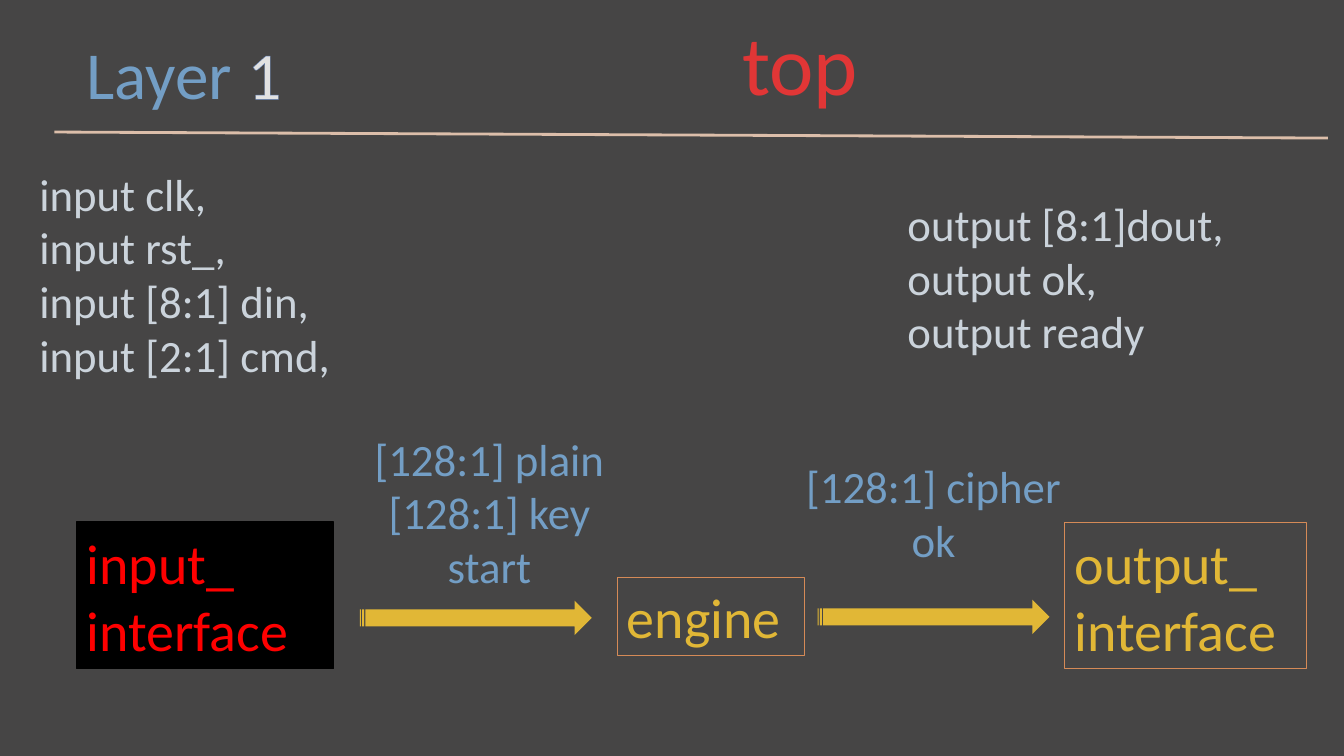
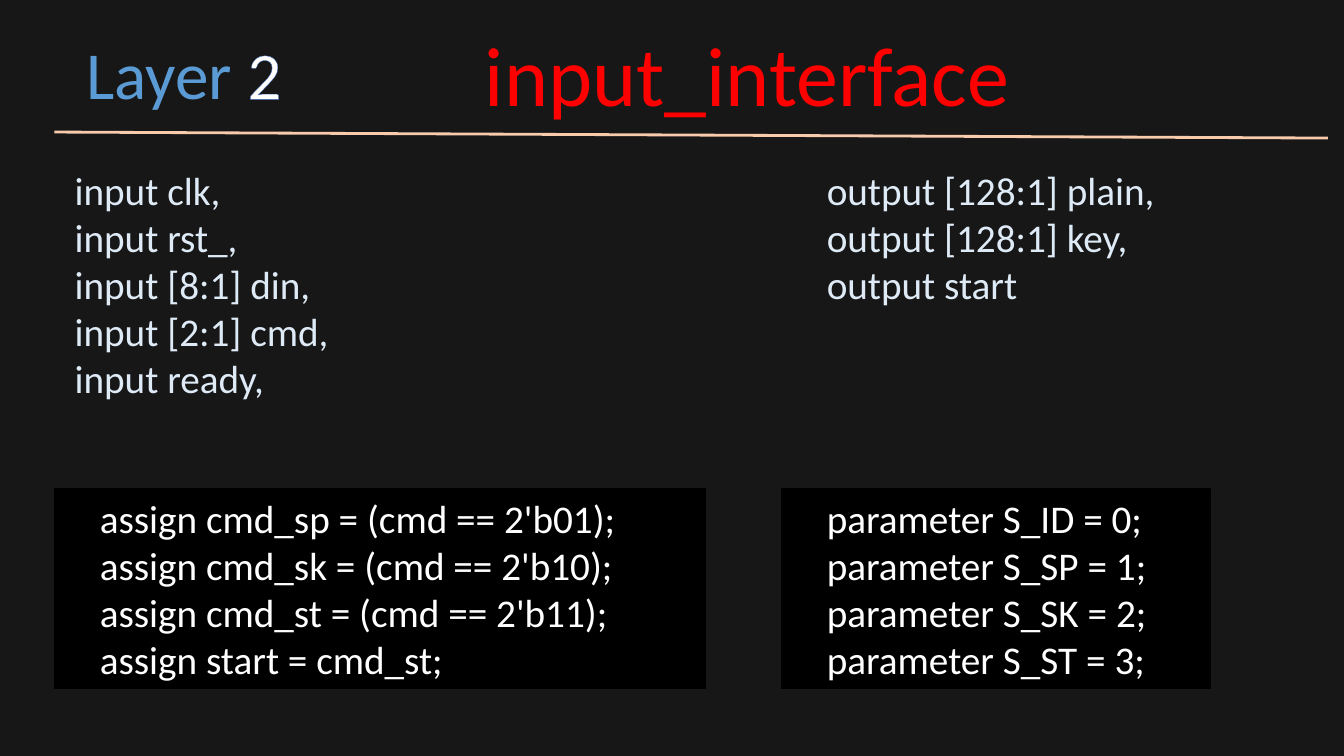
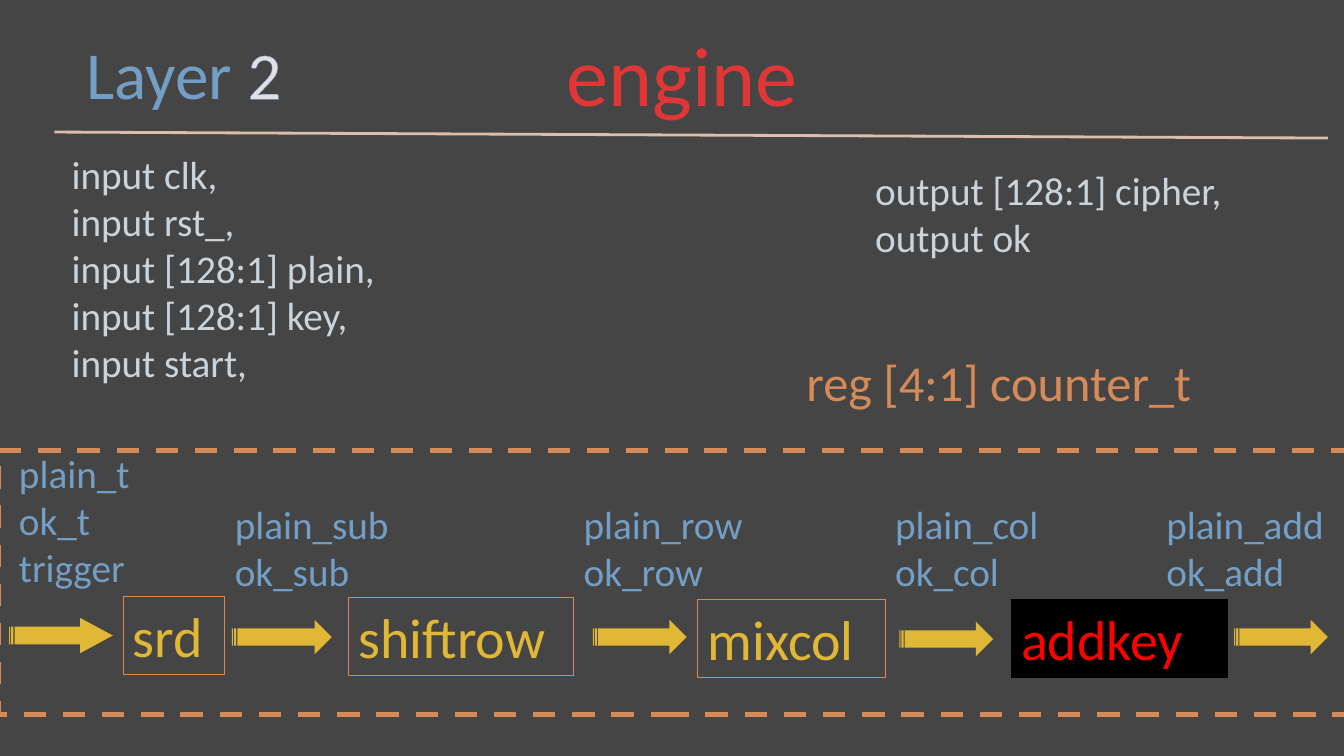
from dataclasses import dataclass

from lxml.etree import SubElement
from pptx import Presentation
from pptx.dml.color import RGBColor
from pptx.enum.dml import MSO_LINE
from pptx.enum.shapes import MSO_CONNECTOR, MSO_SHAPE
from pptx.enum.text import MSO_ANCHOR, MSO_AUTO_SIZE, PP_ALIGN
from pptx.oxml.ns import qn
from pptx.util import Inches, Pt

COLORS = {
    "background": "181717",
    "signal": "5B9BD5",
    "white": "FFFFFF",
    "digit_edge": "4472C4",
    "current": "FF0000",
    "divider": "F8CBAD",
    "port": "DEEBF7",
    "accent": "ED7D31",
    "module": "FFC000",
    "veil": "A5A5A5",
    "black": "000000",
}
FONT = "Calibri"
WIDTH, HEIGHT = 13.33, 7.5


@dataclass(frozen=True)
class Area:
    left: float
    top: float
    width: float
    height: float

    def emu(self):
        return [Inches(v) for v in (self.left, self.top, self.width, self.height)]


@dataclass(frozen=True)
class Style:
    size: int
    color: str
    align: PP_ALIGN = PP_ALIGN.LEFT


@dataclass(frozen=True)
class TextBlock:
    area: Area
    lines: tuple[str, ...]


@dataclass(frozen=True)
class Header:
    layer: str
    module: TextBlock
    inputs: TextBlock
    outputs: TextBlock
    port_size: int


TITLE = Style(60, "current")
MODULE = Style(40, "module")
CURRENT_MODULE = Style(40, "current")
CODE = Style(28, "white")


def rgb(name: str) -> RGBColor:
    return RGBColor.from_string(COLORS[name])


def write(frame, lines, style: Style, anchor=MSO_ANCHOR.TOP) -> None:
    frame.word_wrap = True
    frame.auto_size = MSO_AUTO_SIZE.NONE
    frame.vertical_anchor = anchor
    frame.text = "\n".join(lines)
    for paragraph in frame.paragraphs:
        paragraph.alignment = style.align
        paragraph.space_before = Pt(0)
        properties = paragraph._p.get_or_add_pPr()
        properties.set("marL", "0")
        properties.set("indent", "0")
        SubElement(properties, qn("a:buNone"))
        paragraph.font.name = FONT
        paragraph.font.size = Pt(style.size)
        paragraph.font.color.rgb = rgb(style.color)


def fill_placeholder(placeholder, block: TextBlock, style: Style) -> None:
    placeholder.left, placeholder.top, placeholder.width, placeholder.height = block.area.emu()
    write(placeholder.text_frame, block.lines, style)


def add_text(slide, block: TextBlock, style: Style):
    box = slide.shapes.add_textbox(*block.area.emu())
    write(box.text_frame, block.lines, style)
    return box


def add_box(slide, area: Area, fill=None, line=None, weight=1.0, kind=MSO_SHAPE.RECTANGLE):
    box = slide.shapes.add_shape(kind, *area.emu())
    box.shadow.inherit = False
    if fill:
        box.fill.solid()
        box.fill.fore_color.rgb = rgb(fill)
    else:
        box.fill.background()
    if line:
        box.line.color.rgb = rgb(line)
        box.line.width = Pt(weight)
    else:
        box.line.fill.background()
    return box


def add_module(slide, block: TextBlock) -> None:
    box = add_box(slide, block.area, line="accent", weight=0.5)
    write(box.text_frame, block.lines, MODULE, MSO_ANCHOR.MIDDLE)


def add_current_module(slide, block: TextBlock) -> None:
    box = add_box(slide, block.area, "black", "black")
    write(box.text_frame, block.lines, CURRENT_MODULE, MSO_ANCHOR.MIDDLE)


def add_code(slide, block: TextBlock) -> None:
    box = add_box(slide, block.area, "black", "black")
    write(box.text_frame, block.lines, CODE, MSO_ANCHOR.MIDDLE)
    box.text_frame.margin_left = Inches(0.45)


def add_arrow(slide, left: float, top: float, width: float, height: float = 0.34):
    area = Area(left, top, width, height)
    return add_box(slide, area, "module", kind=MSO_SHAPE.STRIPED_RIGHT_ARROW)


def add_veil(slide) -> None:
    veil = add_box(slide, Area(0, 0, WIDTH, HEIGHT), "veil")
    color = veil._element.spPr.find(qn("a:solidFill"))[0]
    SubElement(color, qn("a:alpha")).set("val", "33000")


def add_layer_label(slide, number: str) -> None:
    label = add_text(slide, TextBlock(Area(0.76, 0.27, 2.4, 0.91), ("Layer ",)), Style(48, "signal"))
    digit = label.text_frame.paragraphs[0].add_run()
    digit.text = number
    digit.font.color.rgb = rgb("white")
    properties = digit._r.get_or_add_rPr()
    edge = SubElement(properties, qn("a:ln"))
    edge.set("w", str(Pt(0.8)))
    solid = SubElement(edge, qn("a:solidFill"))
    SubElement(solid, qn("a:srgbClr")).set("val", COLORS["digit_edge"])
    properties.insert(0, edge)


def add_divider(slide) -> None:
    ends = [Inches(v) for v in (0.54, 1.31, 13.17, 1.37)]
    divider = slide.shapes.add_connector(MSO_CONNECTOR.STRAIGHT, *ends)
    divider.line.color.rgb = rgb("divider")
    divider.line.width = Pt(2)
    SubElement(divider._element.spPr, qn("a:effectLst"))


def start_slide(prs, header: Header):
    slide = prs.slides.add_slide(prs.slide_layouts.get_by_name("Two Content"))
    ports = Style(header.port_size, "port")
    fill_placeholder(slide.shapes.title, header.module, TITLE)
    fill_placeholder(slide.placeholders[1], header.inputs, ports)
    fill_placeholder(slide.placeholders[2], header.outputs, ports)
    add_layer_label(slide, header.layer)
    add_divider(slide)
    return slide


def build_top(prs) -> None:
    slide = start_slide(prs, Header(
        "1",
        TextBlock(Area(7.26, 0.06, 1.44, 1.11), ("top",)),
        TextBlock(Area(0.29, 1.6, 3.4, 2.25),
                  ("input clk,", "input rst_,", "input [8:1] din,", "input [2:1] cmd,")),
        TextBlock(Area(8.9, 1.9, 3.6, 1.72),
                  ("output [8:1]dout,", "output ok,", "output ready")),
        32,
    ))
    add_module(slide, TextBlock(Area(6.12, 5.73, 1.86, 0.77), ("engine",)))
    add_module(slide, TextBlock(Area(10.56, 5.18, 2.4, 1.45), ("output_", "interface")))
    signals = Style(32, "signal", PP_ALIGN.CENTER)
    add_text(slide, TextBlock(Area(3.55, 4.23, 2.61, 1.72),
                              ("[128:1] plain", "[128:1] key", "start")), signals)
    add_text(slide, TextBlock(Area(7.81, 4.5, 2.9, 1.18), ("[128:1] cipher", "ok")), signals)
    add_arrow(slide, 3.57, 5.96, 2.3)
    add_arrow(slide, 8.11, 5.95, 2.3)
    add_veil(slide)
    add_current_module(slide, TextBlock(Area(0.76, 5.18, 2.55, 1.45), ("input_", "interface")))


def build_input_interface(prs) -> None:
    slide = start_slide(prs, Header(
        "2",
        TextBlock(Area(4.71, 0.17, 5.71, 1.11), ("input_interface",)),
        TextBlock(Area(0.64, 1.6, 3, 2.46),
                  ("input clk,", "input rst_,", "input [8:1] din,", "input [2:1] cmd,",
                   "input ready,")),
        TextBlock(Area(8.1, 1.6, 3.75, 1.51),
                  ("output [128:1] plain,", "output [128:1] key,", "output start")),
        28,
    ))
    add_code(slide, TextBlock(Area(0.54, 4.85, 6.46, 1.98), (
        "assign cmd_sp = (cmd == 2'b01);",
        "assign cmd_sk = (cmd == 2'b10);",
        "assign cmd_st = (cmd == 2'b11);",
        "assign start = cmd_st;",
    )))
    states = ("ID", "SP", "SK", "ST")
    add_code(slide, TextBlock(Area(7.75, 4.85, 4.25, 1.98), tuple(
        f"parameter S_{state} = {value};" for value, state in enumerate(states))))


def build_engine(prs) -> None:
    slide = start_slide(prs, Header(
        "2",
        TextBlock(Area(5.52, 0.17, 2.68, 1.11), ("engine",)),
        TextBlock(Area(0.61, 1.44, 3.5, 2.46),
                  ("input clk,", "input rst_,", "input [128:1] plain,", "input [128:1] key,",
                   "input start,")),
        TextBlock(Area(8.58, 1.6, 4, 1.04), ("output [128:1] cipher,", "output ok")),
        28,
    ))
    add_text(slide, TextBlock(Area(7.9, 3.43, 4.26, 0.71), ("reg [4:1] counter_t",)),
             Style(36, "accent"))

    for name, left, top, width in (
        ("srd", 1.22, 5.92, 1.01),
        ("shiftrow", 3.46, 5.93, 2.23),
        ("mixcol", 6.92, 5.95, 1.86),
    ):
        add_module(slide, TextBlock(Area(left, top, width, 0.77), (name,)))

    for left, top, width in ((2.3, 6.15, 0.99), (5.88, 6.15, 0.93),
                             (8.92, 6.17, 0.93), (12.24, 6.15, 0.93)):
        add_arrow(slide, left, top, width)
    entry_arrow = add_arrow(slide, 0.09, 6.13, 1.03, 0.35)
    entry_arrow.adjustments[1] = 0.93

    signals = Style(28, "signal")
    add_text(slide, TextBlock(Area(0.09, 4.41, 1.34, 1.51), ("plain_t", "ok_t", "trigger")), signals)
    for stage, left in (("sub", 2.23), ("row", 5.69), ("col", 8.78), ("add", 11.47)):
        area = Area(left, 4.91, 1.89, 1.04)
        add_text(slide, TextBlock(area, (f"plain_{stage}", f"ok_{stage}")), signals)

    pipeline = add_box(slide, Area(-0.02, 4.47, 13.39, 2.62), line="accent", weight=4)
    pipeline.line.dash_style = MSO_LINE.DASH
    add_veil(slide)
    add_current_module(slide, TextBlock(Area(10.03, 5.95, 2.14, 0.77), ("addkey",)))


def main() -> None:
    prs = Presentation()
    prs.slide_width, prs.slide_height = Inches(WIDTH), Inches(HEIGHT)
    backdrop = prs.slide_master.background.fill
    backdrop.solid()
    backdrop.fore_color.rgb = rgb("background")
    build_top(prs)
    build_input_interface(prs)
    build_engine(prs)
    prs.save("out.pptx")


if __name__ == "__main__":
    main()
